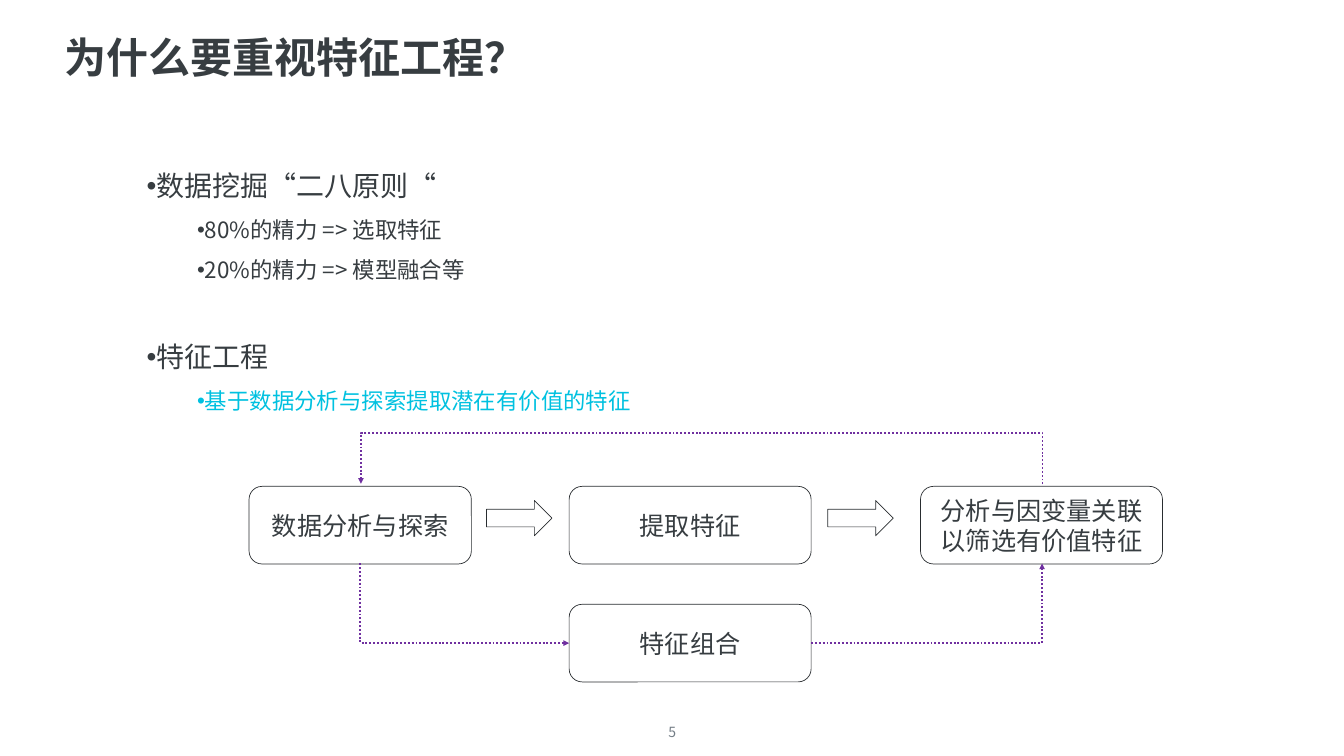
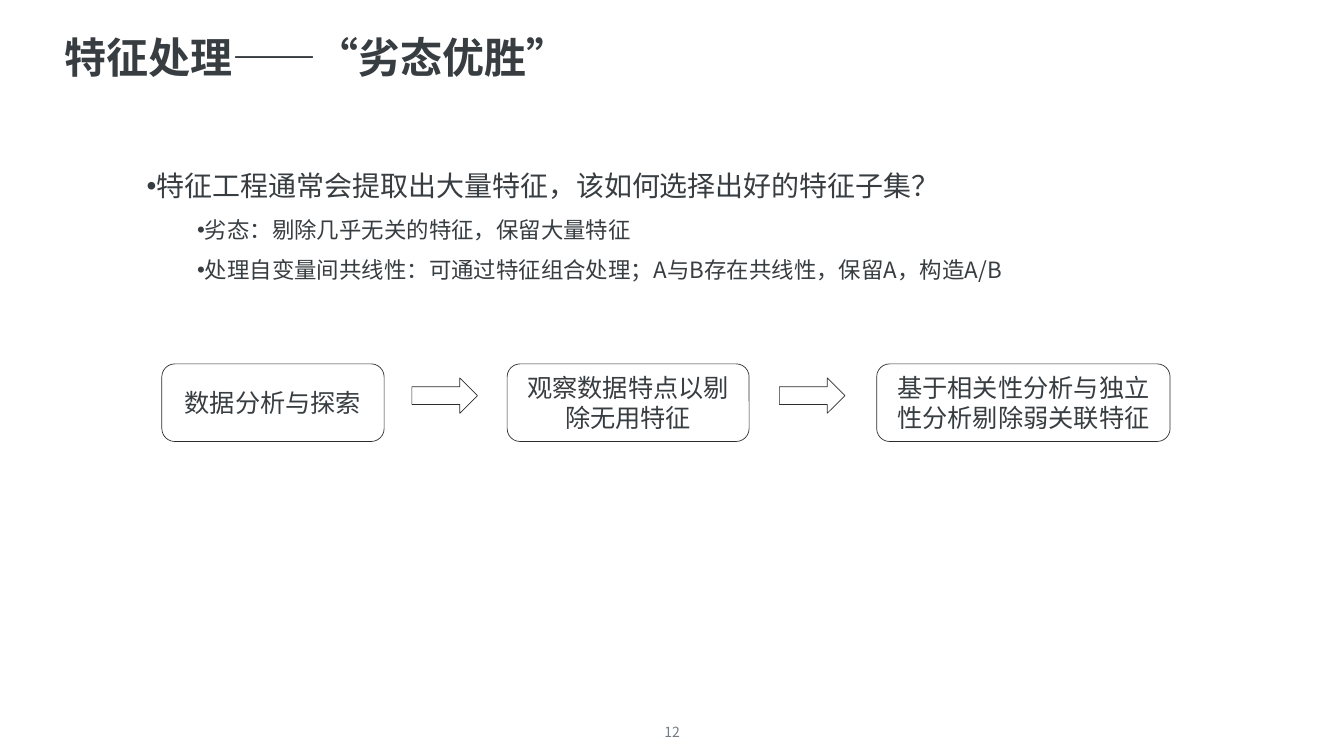
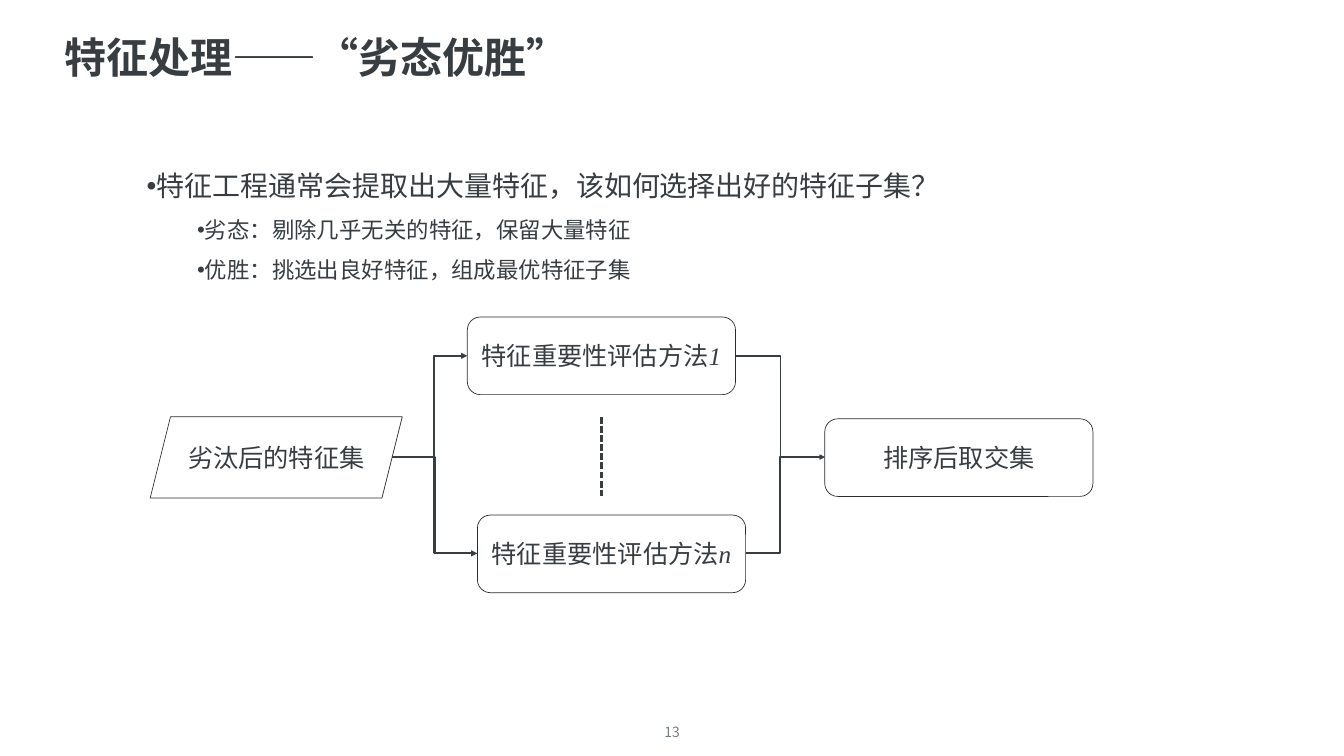
from lxml.etree import SubElement
from pptx import Presentation
from pptx.dml.color import RGBColor
from pptx.enum.dml import MSO_LINE
from pptx.enum.lang import MSO_LANGUAGE_ID
from pptx.enum.shapes import MSO_CONNECTOR, MSO_SHAPE
from pptx.enum.text import MSO_ANCHOR, MSO_AUTO_SIZE, PP_ALIGN
from pptx.oxml.ns import qn
from pptx.util import Pt

PX = 9144
WIDTH, HEIGHT = 2666, 1500

THEME = {
    "sans": "Noto Sans CJK SC",
    "serif": "Times New Roman",
    "text": "373D41",
    "outline": "292D30",
    "accent": "00C1E0",
    "loop": "7030A0",
    "footer": "737D86",
    "title_pt": 60,
    "bullet_pt": (40, 32),
    "box_pt": 36,
    "footer_pt": 20,
}

TITLE_AT = (117, 69, 2425, 99)
FOOTER_AT = (1225, 1431, 217, 44)
BULLETS_X, BULLETS_W = 152, 2260
BULLET_MARGINS, BULLET_INDENT = (50, 150), 79
BOX_H, ARROW_W, ARROW_H, ARROW_DROP = 154, 130, 70, 28

SELECT_TITLE = "特征处理——“劣态优胜”"
SELECT_QUESTION = (0, "特征工程通常会提取出大量特征，该如何选择出好的特征子集？", "text")
SELECT_WEED = (1, "劣态：剔除几乎无关的特征，保留大量特征", "text")

LOOP = {"color": "loop", "width": 2.75, "dash": MSO_LINE.ROUND_DOT}
MERGE = {"color": "text", "width": 2.5}
SPLIT = {"color": "text", "width": 3}

SLIDES = [
    {
        "number": "5",
        "title": "为什么要重视特征工程？",
        "bullets": [
            (297, 307, [
                (0, "数据挖掘“二八原则“", "text"),
                (1, "80%的精力\u2003=>\u2003选取特征".replace("\u2003", " "), "text"),
                (1, "20%的精力\u2003=>\u2003模型融合等".replace("\u2003", " "), "text"),
            ]),
            (636, 217, [
                (0, "特征工程", "text"),
                (1, "基于数据分析与探索提取潜在有价值的特征", "accent"),
            ]),
        ],
        "flow": (965, [
            (494, 441, "数据分析与探索"),
            (1129, 480, "提取特征"),
            (1826, 480, "分析与因变量关联以筛选有价值特征"),
        ], [965, 1642]),
        "boxes": [(1129, 1199, 480, "特征组合", "")],
        "elbows": [
            ((2068, 961), (716, 960), "down", 857, LOOP),
            ((715, 1118), (1129, 1276), "down", None, LOOP),
            ((1609, 1276), (2067, 1118), "across", None, LOOP),
        ],
    },
    {
        "number": "12",
        "title": SELECT_TITLE,
        "bullets": [(297, 307, [
            SELECT_QUESTION,
            SELECT_WEED,
            (1, "处理自变量间共线性：可通过特征组合处理；A与B存在共线性，保留A，构造A/B", "text"),
        ])],
        "flow": (722, [
            (321, 441, "数据分析与探索"),
            (1006, 480, "观察数据特点以剔除无用特征"),
            (1739, 582, "基于相关性分析与独立性分析剔除弱关联特征"),
        ], [817, 1546]),
    },
    {
        "number": "13",
        "title": SELECT_TITLE,
        "bullets": [(297, 307, [
            SELECT_QUESTION,
            SELECT_WEED,
            (1, "优胜：挑选出良好特征，组成最优特征子集", "text"),
        ])],
        "boxes": [
            (947, 1022, 532, "特征重要性评估方法", "n"),
            (927, 629, 532, "特征重要性评估方法", "1"),
            (1636, 831, 532, "排序后取交集", ""),
        ],
        "source": ((298, 827, 500, 161), "劣汰后的特征集"),
        "elbows": [
            ((1459, 706), (1636, 907), "across", 1548, MERGE),
            ((1479, 1098), (1636, 907), "across", 1548, MERGE),
            ((777, 907), (927, 706), "across", 861, SPLIT),
            ((777, 907), (947, 1098), "across", 862, SPLIT),
        ],
        "ellipsis": ((1193, 827), (1193, 984)),
    },
]


def emu(*lengths):
    return [round(n * PX) for n in lengths]


def rgb(name):
    return RGBColor.from_string(THEME[name])


def apply(target, values):
    for name, value in values.items():
        setattr(target, name, value)


def add_run(p, text, size, color="text", face="sans", **styles):
    r = p.add_run()
    r.text = text
    apply(r.font, {"size": Pt(size), "name": THEME[face],
                   "language_id": MSO_LANGUAGE_ID.SIMPLIFIED_CHINESE, **styles})
    r.font.color.rgb = rgb(color)
    SubElement(r.font._element, qn("a:ea")).set("typeface", THEME["sans"])


def add_title(s, text):
    sp = s.shapes.title
    apply(sp, dict(zip(("left", "top", "width", "height"), emu(*TITLE_AT))))
    tf = sp.text_frame
    apply(tf, {"word_wrap": True, "auto_size": MSO_AUTO_SIZE.NONE,
               "vertical_anchor": MSO_ANCHOR.MIDDLE})
    p = tf.paragraphs[0]
    apply(p, {"alignment": PP_ALIGN.LEFT, "line_spacing": 0.9})
    add_run(p, text, THEME["title_pt"], bold=True)


def add_footer(s, number):
    tf = s.shapes.add_textbox(*emu(*FOOTER_AT)).text_frame
    apply(tf, {"word_wrap": True, "auto_size": MSO_AUTO_SIZE.SHAPE_TO_FIT_TEXT})
    p = tf.paragraphs[0]
    p.alignment = PP_ALIGN.CENTER
    add_run(p, number, THEME["footer_pt"], "footer")


def add_bullets(s, top, height, items):
    tf = s.shapes.add_textbox(*emu(BULLETS_X, top, BULLETS_W, height)).text_frame
    tf.word_wrap = True
    for i, (level, text, color) in enumerate(items):
        p = tf.add_paragraph() if i else tf.paragraphs[0]
        apply(p, {"level": level, "line_spacing": 1.5,
                  "space_before": Pt(0 if level else 20)})
        pPr = p._p.get_or_add_pPr()
        margin, indent = emu(BULLET_MARGINS[level], BULLET_INDENT)
        pPr.set("marL", str(margin))
        pPr.set("indent", str(indent))
        SubElement(pPr, qn("a:buFont")).set("typeface", "Arial")
        SubElement(pPr, qn("a:buChar")).set("char", "•")
        add_run(p, text, THEME["bullet_pt"][level], color)


def add_outline(s, kind, at, text="", symbol="", face="serif"):
    sp = s.shapes.add_shape(kind, *emu(*at))
    sp.shadow.inherit = False
    sp.fill.background()
    sp.line.color.rgb = rgb("outline")
    sp.line.width = Pt(1)
    if text:
        tf = sp.text_frame
        apply(tf, {"word_wrap": True, "vertical_anchor": MSO_ANCHOR.MIDDLE})
        p = tf.paragraphs[0]
        p.alignment = PP_ALIGN.CENTER
        add_run(p, text, THEME["box_pt"], face=face)
        if symbol:
            add_run(p, symbol, THEME["box_pt"], face=face, italic=True)


def add_box(s, x, y, w, text, symbol=""):
    add_outline(s, MSO_SHAPE.ROUNDED_RECTANGLE, (x, y, w, BOX_H), text, symbol)


def add_flow(s, top, steps, arrows):
    for x, w, text in steps:
        add_box(s, x, top, w, text)
    for x in arrows:
        add_outline(s, MSO_SHAPE.RIGHT_ARROW, (x, top + ARROW_DROP, ARROW_W, ARROW_H))


def add_line(s, kind, start, end, color, width, dash=None, arrow=False):
    c = s.shapes.add_connector(kind, *emu(*start, *end))
    c.line.color.rgb = rgb(color)
    c.line.width = Pt(width)
    if dash:
        c.line.dash_style = dash
    if arrow:
        SubElement(c.line._get_or_add_ln(), qn("a:tailEnd")).set("type", "triangle")
    SubElement(c._element.spPr, qn("a:effectLst"))
    return c


def add_elbow(s, start, end, direction, bend, style):
    c = add_line(s, MSO_CONNECTOR.ELBOW, start, end, arrow=True, **style)
    (x1, y1), (x2, y2) = start, end
    dx, dy = x2 - x1, y2 - y1
    xfrm = c._element.spPr.find(qn("a:xfrm"))
    if direction == "down":
        w, h = abs(dy), abs(dx)
        box = emu((x1 + x2 - w) / 2, (y1 + y2 - h) / 2, w, h)
        apply(c, dict(zip(("left", "top", "width", "height"), box)))
        flips = {"rot": 270 * 60000, "flipH": int(dy > 0), "flipV": int(dx < 0)}
        for name, value in flips.items():
            xfrm.set(name, str(value))
    geom = c._element.spPr.find(qn("a:prstGeom"))
    if bend is None:
        geom.set("prst", "bentConnector2")
    else:
        share = (bend - y1) / dy if direction == "down" else (bend - x1) / dx
        guides = geom.find(qn("a:avLst"))
        if guides is None:
            guides = SubElement(geom, qn("a:avLst"))
        gd = SubElement(guides, qn("a:gd"))
        gd.set("name", "adj1")
        gd.set("fmla", f"val {round(share * 100000)}")


def add_slide(prs, content):
    s = prs.slides.add_slide(prs.slide_layouts[5])
    add_footer(s, content["number"])
    add_title(s, content["title"])
    for block in content["bullets"]:
        add_bullets(s, *block)
    if "flow" in content:
        add_flow(s, *content["flow"])
    for box in content.get("boxes", []):
        add_box(s, *box)
    if "source" in content:
        at, text = content["source"]
        add_outline(s, MSO_SHAPE.PARALLELOGRAM, at, text, face="sans")
    for elbow in content.get("elbows", []):
        add_elbow(s, *elbow)
    if "ellipsis" in content:
        add_line(s, MSO_CONNECTOR.STRAIGHT, *content["ellipsis"], "text", 3.25,
                 MSO_LINE.SQUARE_DOT)


def main():
    prs = Presentation()
    prs.slide_width, prs.slide_height = emu(WIDTH, HEIGHT)
    for content in SLIDES:
        add_slide(prs, content)
    prs.save("out.pptx")


if __name__ == "__main__":
    main()
